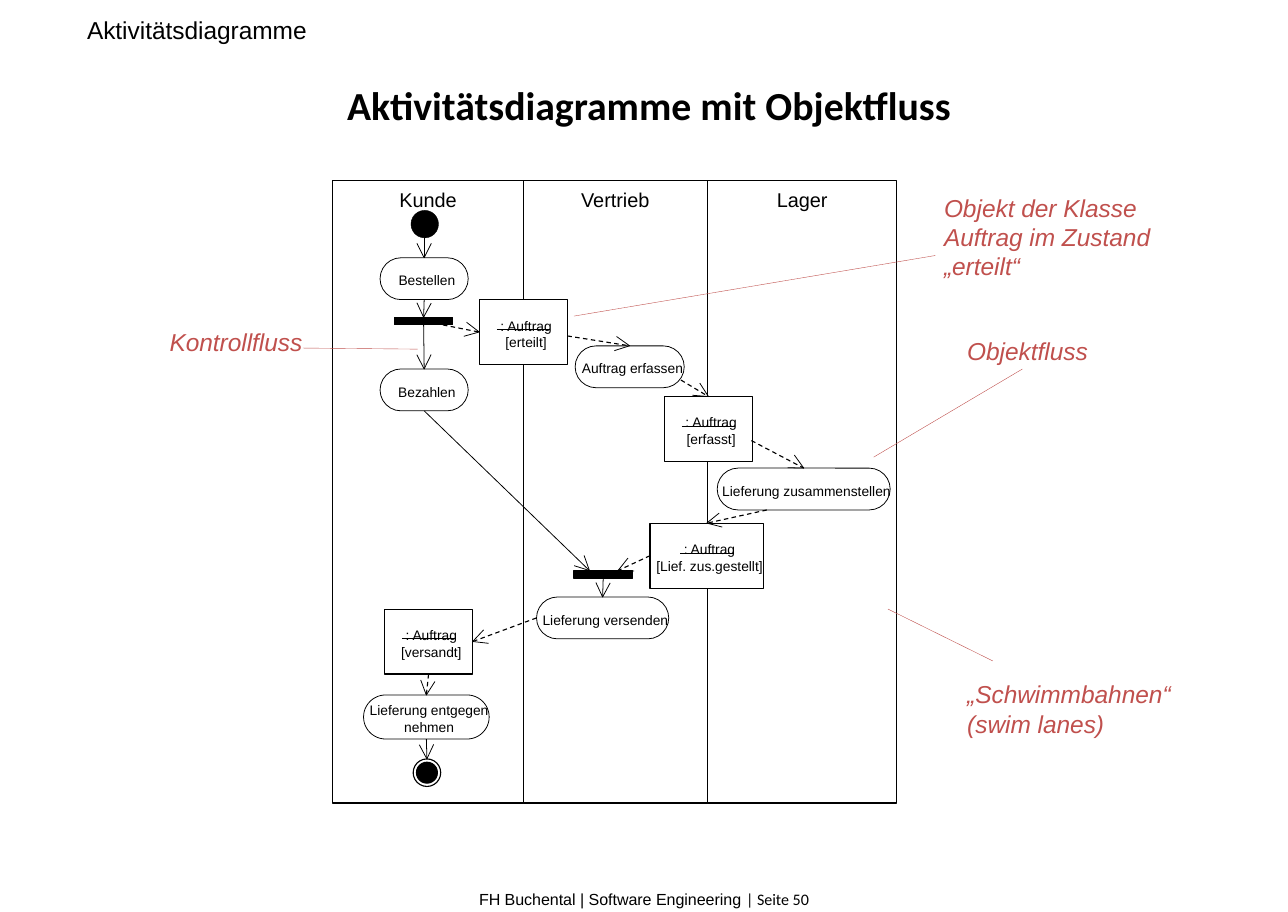
from math import hypot
from lxml.etree import SubElement
from pptx import Presentation
from pptx.dml.color import RGBColor
from pptx.enum.dml import MSO_LINE
from pptx.enum.shapes import MSO_CONNECTOR, MSO_SHAPE
from pptx.enum.text import MSO_ANCHOR, PP_ALIGN
from pptx.oxml.ns import qn
from pptx.util import Inches, Pt

COLORS = {"ink": "000000", "paper": "FFFFFF", "note": "C0504D"}


def tint(name):
    return RGBColor.from_string(COLORS[name])


def fixed(point):
    return isinstance(point[0], (int, float))


class Board:
    font = "Arial"

    def __init__(self, slide):
        self.shapes = slide.shapes

    def fit(self, frame, text, size, color="ink", align=PP_ALIGN.LEFT,
            inset=(0, 0, 0, 0), anchor=MSO_ANCHOR.TOP, wrap=False):
        frame.text = text
        frame.word_wrap = wrap
        frame.vertical_anchor = anchor
        (frame.margin_left, frame.margin_top,
         frame.margin_right, frame.margin_bottom) = map(Inches, inset)
        for part in frame.paragraphs:
            part.alignment = align
            part.font.size = Pt(size)
            part.font.name = self.font
            part.font.color.rgb = tint(color)

    def title(self, text, *area):
        head = self.shapes.title
        head.left, head.top, head.width, head.height = map(Inches, area)
        self.fit(head.text_frame, text, 26, align=PP_ALIGN.CENTER,
                 inset=(0.1, 0.05, 0.1, 0.05), anchor=MSO_ANCHOR.MIDDLE, wrap=True)
        font = head.text_frame.paragraphs[0].font
        font.name = "Calibri"
        font.bold = True

    def label(self, text, area, size, **style):
        box = self.shapes.add_textbox(*map(Inches, area))
        self.fit(box.text_frame, text, size, **style)
        return box

    def shape(self, kind, area, fill=None, width=0.75):
        item = self.shapes.add_shape(kind, *map(Inches, area))
        item.shadow.inherit = False
        if fill:
            item.fill.solid()
            item.fill.fore_color.rgb = tint(fill)
        else:
            item.fill.background()
        item.line.color.rgb = tint("ink")
        item.line.width = Pt(width)
        return item

    def lane(self, name, left, width):
        box = self.shape(MSO_SHAPE.RECTANGLE, (left, 1.64, width, 5.65))
        self.fit(box.text_frame, name, 13, align=PP_ALIGN.CENTER,
                 inset=(0, 0.06, 0, 0))

    def step(self, text, left, top, width, height=0.38):
        box = self.shape(MSO_SHAPE.ROUNDED_RECTANGLE,
                         (left, top, width, height), "paper", 0.5)
        box.adjustments[0] = 0.5
        self.inner(box, text)
        return box

    def order(self, state, left, top, width=0.8):
        box = self.shape(MSO_SHAPE.RECTANGLE, (left, top, width, 0.59), "paper")
        self.inner(box, f": Auftrag\n[{state}]")
        mid = left + width / 2
        self.line((mid - 0.24, top + 0.27), (mid + 0.24, top + 0.27))
        return box

    def inner(self, box, text):
        self.fit(box.text_frame, text, 9, align=PP_ALIGN.CENTER,
                 inset=(0.05, 0.03, 0, 0), anchor=MSO_ANCHOR.MIDDLE)

    def bar(self, left, top):
        return self.shape(MSO_SHAPE.RECTANGLE, (left, top, 0.53, 0.07), "ink")

    def dot(self, left, top, size, fill="ink", width=0.75):
        return self.shape(MSO_SHAPE.OVAL, (left, top, size, size), fill, width)

    def line(self, start, end, color="ink", width=0.5, dash=False):
        spots = [point if fixed(point) else (0, 0) for point in (start, end)]
        link = self.shapes.add_connector(
            MSO_CONNECTOR.STRAIGHT, *map(Inches, spots[0] + spots[1]))
        if not fixed(start):
            link.begin_connect(*start)
        if not fixed(end):
            link.end_connect(*end)
        link.line.color.rgb = tint(color)
        link.line.width = Pt(width)
        if dash:
            link.line.dash_style = MSO_LINE.DASH
        SubElement(link._element.spPr, qn("a:effectLst"))
        return link

    def flow(self, start, end, dash=False):
        link = self.line(start, end, width=0.75 if dash else 0.5, dash=dash)
        x, y = link.end_x, link.end_y
        dx, dy = x - link.begin_x, y - link.begin_y
        unit = Inches(0.13) / hypot(dx, dy)
        dx, dy = dx * unit, dy * unit
        wings = [(round(x - dx + side * dy), round(y - dy - side * dx))
                 for side in (0.5, -0.5)]
        route = self.shapes.build_freeform(*wings[0])
        route.add_line_segments([(x, y), wings[1]], close=False)
        head = route.convert_to_shape()
        head.shadow.inherit = False
        head.fill.background()
        head.line.color.rgb = tint("ink")
        head.line.width = Pt(0.5)

    def note(self, text, area, start, end):
        box = self.label(text, area, 16, color="note", inset=(0.1, 0.05, 0.1, 0.05))
        for part in box.text_frame.paragraphs:
            part.font.italic = True
        self.line(start, end, "note", 0.25)


def main():
    deck = Presentation()
    deck.slide_width, deck.slide_height = Inches(11.69), Inches(8.28)
    board = Board(deck.slides.add_slide(deck.slide_layouts[5]))

    foot = board.label("FH Buchental | Software Engineering ", (0, 8.08, 11.69, 0.2),
                       10.5, align=PP_ALIGN.CENTER, wrap=True)
    page = foot.text_frame.paragraphs[0].add_run()
    page.text = "| Seite 50"
    page.font.name = "Calibri"
    board.label("Aktivitätsdiagramme", (0.79, 0.14, 10.06, 0.54), 16, wrap=True)
    board.title("Aktivitätsdiagramme mit Objektfluss", 1.2, 0.66, 9.39, 0.58)

    for name, left, width in (("Lager", 6.42, 1.72), ("Kunde", 3.02, 1.73),
                              ("Vertrieb", 4.75, 1.67)):
        board.lane(name, left, width)

    board.dot(3.73, 1.91, 0.25, width=0.25)
    buy = board.step("Bestellen", 3.45, 2.34, 0.8)
    fork = board.bar(3.58, 2.88)
    pay = board.step("Bezahlen", 3.45, 3.35, 0.8)
    take = board.step("Lieferung entgegen\nnehmen", 3.3, 6.31, 1.14, 0.4)
    enter = board.step("Auftrag erfassen", 5.22, 3.14, 0.99)
    pack = board.step("Lieferung zusammenstellen", 6.51, 4.25, 1.57)
    send = board.step("Lieferung versenden", 4.87, 5.42, 1.2)
    join = board.bar(5.21, 5.18)
    final = board.dot(3.75, 6.89, 0.25, "paper")
    board.dot(3.78, 6.92, 0.19)
    placed = board.order("erteilt", 4.35, 2.72)
    logged = board.order("erfasst", 6.03, 3.6)
    packed = board.order("Lief. zus.gestellt", 5.9, 4.75, 1.03)
    sent = board.order("versandt", 3.49, 5.53)

    for start, end in (
        ((3.85, 2.16), (buy, 0)),
        ((buy, 2), (fork, 0)),
        ((fork, 2), (pay, 0)),
        ((pay, 2), (5.35, 5.18)),
        ((join, 2), (send, 0)),
        ((take, 2), (final, 0)),
    ):
        board.flow(start, end)
    for start, end in (
        ((4.02, 2.95), (placed, 1)),
        ((5.15, 3.05), (enter, 0)),
        ((6.18, 3.45), (logged, 0)),
        ((6.82, 4), (pack, 0)),
        ((6.96, 4.63), (packed, 0)),
        ((packed, 1), (5.61, 5.18)),
        ((send, 1), (sent, 3)),
        ((sent, 2), (take, 0)),
    ):
        board.flow(start, end, dash=True)

    board.note("Kontrollfluss", (1.44, 2.92, 1.41, 0.37), (2.75, 3.16), (3.79, 3.17))
    board.note("Objektfluss", (8.68, 3, 1.3, 0.37), (9.28, 3.35), (7.93, 4.15))
    board.note("Objekt der Klasse\nAuftrag im Zustand\n„erteilt“",
               (8.47, 1.7, 2.08, 0.9), (8.49, 2.32), (5.21, 2.87))
    board.note("„Schwimmbahnen“\n(swim lanes)",
               (8.68, 6.12, 2.05, 0.64), (9.01, 6), (8.06, 5.53))
    deck.save("out.pptx")


if __name__ == "__main__":
    main()
